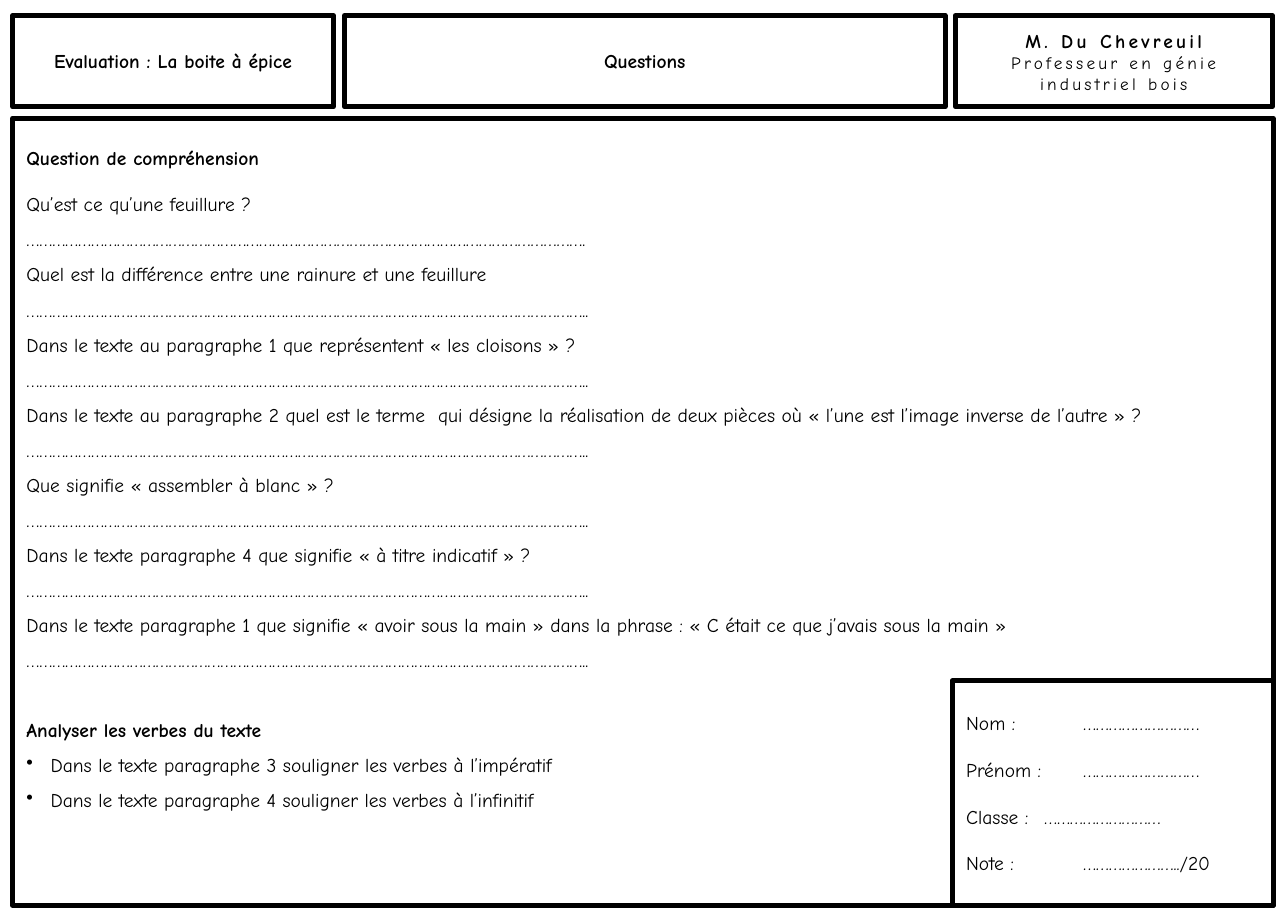
"""Build the comprehension test sheet for the woodworking text."""
from dataclasses import dataclass

from lxml import etree
from pptx import Presentation
from pptx.dml.color import RGBColor
from pptx.enum.shapes import MSO_SHAPE
from pptx.enum.text import MSO_ANCHOR, PP_ALIGN
from pptx.oxml.ns import qn
from pptx.util import Emu, Pt

RECT = MSO_SHAPE.RECTANGLE
TOP, MIDDLE = MSO_ANCHOR.TOP, MSO_ANCHOR.MIDDLE
LEFT, CENTER = PP_ALIGN.LEFT, PP_ALIGN.CENTER
PX = 9144


@dataclass(frozen=True)
class Theme:
    font: str = "Comic Neue"
    ink: RGBColor = RGBColor(0, 0, 0)
    paper: RGBColor = RGBColor(255, 255, 255)
    body: int = 18
    small: int = 16
    border: float = 4.5
    gap: float = 21.6
    wide_gap: float = 32.4


@dataclass(frozen=True)
class Para:
    text: str
    bold: bool = False
    size: int = 18
    before: float = 0
    leading: float = 1.0
    tracking: int = 0
    bullet: bool = False
    tab: int = 0


@dataclass(frozen=True)
class Frame:
    x: int
    y: int
    w: int
    h: int
    paras: list[Para]
    align: PP_ALIGN = CENTER
    anchor: MSO_ANCHOR = MIDDLE
    inset_left: int = 10
    inset_top: int = 5


T = Theme()
HEAD_Y, HEAD_H = 20, 117
BULLET_INDENT = 31
DOTS = "…………………………………………………………………………………………………………………"
BLANK = "………………………"

QUESTIONS = [
    "Qu’est ce qu’une feuillure ?",
    "Quel est la différence entre une rainure et une feuillure",
    "Dans le texte au paragraphe 1 que représentent « les cloisons » ?",
    "Dans le texte au paragraphe 2 quel est le terme  qui désigne la réalisation "
    "de deux pièces où « l’une est l’image inverse de l’autre » ?",
    "Que signifie « assembler à blanc » ?",
    "Dans le texte paragraphe 4 que signifie « à titre indicatif » ?",
    "Dans le texte paragraphe 1 que signifie « avoir sous la main » dans la phrase : "
    "« C était ce que j’avais sous la main »",
]
TASKS = [
    "Dans le texte paragraphe 3 souligner les verbes à l’impératif",
    "Dans le texte paragraphe 4 souligner les verbes à l’infinitif",
]
FIELDS = [
    ("Nom :", BLANK, 150),
    ("Prénom :", BLANK, 150),
    ("Classe :", BLANK, 100),
    ("Note :", "…………………../20", 150),
]


def px(n: int) -> Emu:
    """Turn px into EMU."""
    return Emu(n * PX)


def question_paras() -> list[Para]:
    """List the paragraphs of the question sheet."""
    paras = [Para("Question de compréhension", bold=True)]
    for i, question in enumerate(QUESTIONS):
        first = i == 0
        paras.append(Para(question, before=T.gap if first else 0,
                          leading=1.0 if first else 1.5))
        paras.append(Para(DOTS + ("." if first else ".."), leading=1.5))
    paras.append(Para("Analyser les verbes du texte", bold=True,
                      before=T.wide_gap, leading=1.5))
    return paras + [Para(task, leading=1.5, bullet=True) for task in TASKS]


def field_paras() -> list[Para]:
    """List the lines the pupil fills in."""
    return [Para(f"{label}\t{value}", before=T.gap if i else 0, tab=tab)
            for i, (label, value, tab) in enumerate(FIELDS)]


def add_para(p, para: Para, align: PP_ALIGN) -> None:
    """Write one paragraph with its format."""
    p.alignment = align
    p.line_spacing = para.leading
    p.space_before = Pt(para.before)
    pPr = p._p.get_or_add_pPr()
    if para.bullet:
        pPr.set("marL", str(px(BULLET_INDENT)))
        pPr.set("indent", str(px(-BULLET_INDENT)))
        etree.SubElement(pPr, qn("a:buChar")).set("char", "•")
    if para.tab:
        tabs = etree.SubElement(pPr, qn("a:tabLst"))
        etree.SubElement(tabs, qn("a:tab"), pos=str(px(para.tab)), algn="l")
    r = p.add_run()
    r.text = para.text
    r.font.name = T.font
    r.font.size = Pt(para.size)
    r.font.bold = para.bold
    r.font.color.rgb = T.ink
    if para.tracking:
        r.font._element.set("spc", str(para.tracking * 100))


def add_frame(s, frame: Frame) -> None:
    """Draw one bordered box with its text."""
    sp = s.shapes.add_shape(RECT, px(frame.x), px(frame.y), px(frame.w), px(frame.h))
    sp.shadow.inherit = False
    sp.fill.solid()
    sp.fill.fore_color.rgb = T.paper
    sp.line.color.rgb = T.ink
    sp.line.width = Pt(T.border)
    tf = sp.text_frame
    tf.word_wrap = True
    tf.vertical_anchor = frame.anchor
    tf.margin_left = px(frame.inset_left)
    tf.margin_top = px(frame.inset_top)
    for i, para in enumerate(frame.paras):
        add_para(tf.add_paragraph() if i else tf.paragraphs[0], para, frame.align)


def main() -> None:
    """Build and save the slide."""
    prs = Presentation()
    prs.slide_width, prs.slide_height = px(1653), px(1181)
    s = prs.slides.add_slide(prs.slide_layouts[6])
    teacher = [
        Para("M. Du Chevreuil", bold=True, tracking=3),
        Para("Professeur en génie", size=T.small, tracking=3),
        Para("industriel bois", size=T.small, tracking=3),
    ]
    title = [Para("Evaluation : La boite à épice", bold=True)]
    frames = [
        Frame(16, 152, 1618, 1010, question_paras(), LEFT, TOP, 18, 35),
        Frame(1226, HEAD_Y, 407, HEAD_H, teacher),
        Frame(16, HEAD_Y, 412, HEAD_H, title),
        Frame(442, HEAD_Y, 771, HEAD_H, [Para("Questions", bold=True)]),
        Frame(1222, 874, 412, 288, field_paras(), LEFT, MIDDLE, 18),
    ]
    for frame in frames:
        add_frame(s, frame)
    prs.save("out.pptx")


if __name__ == "__main__":
    main()
